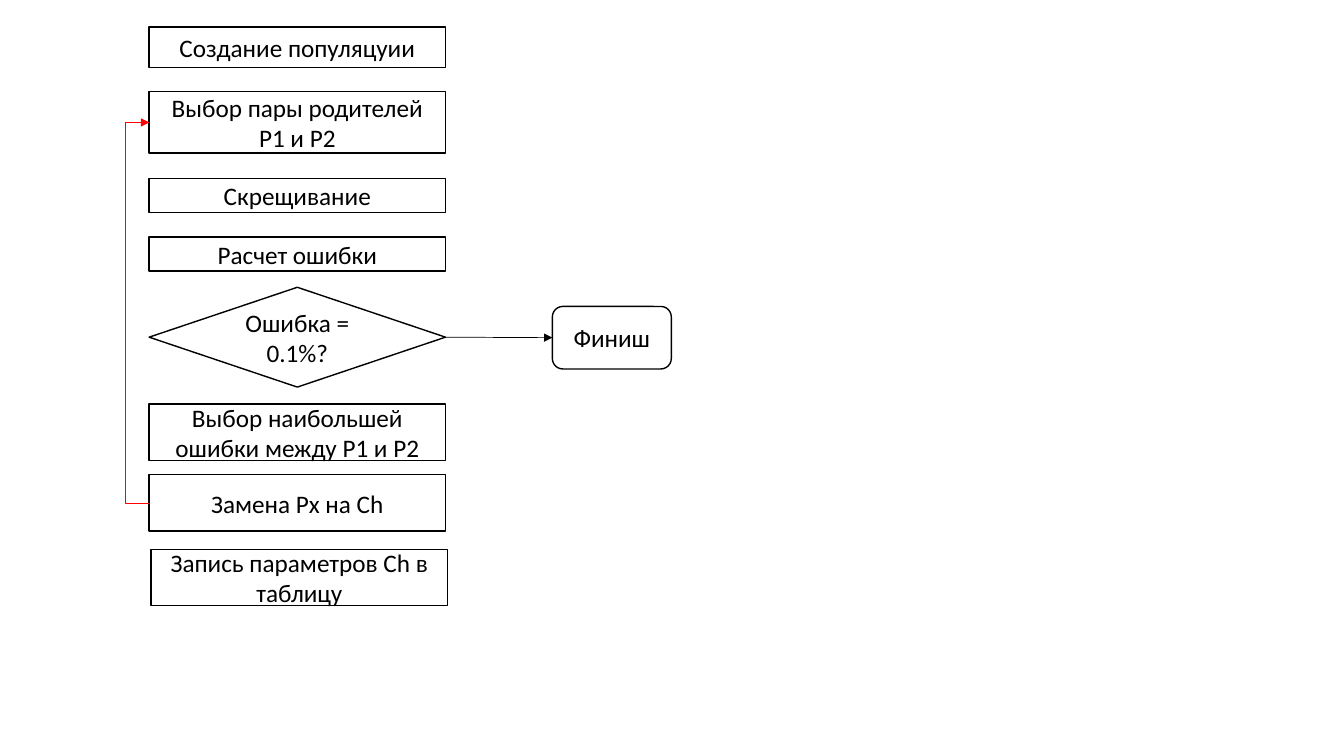
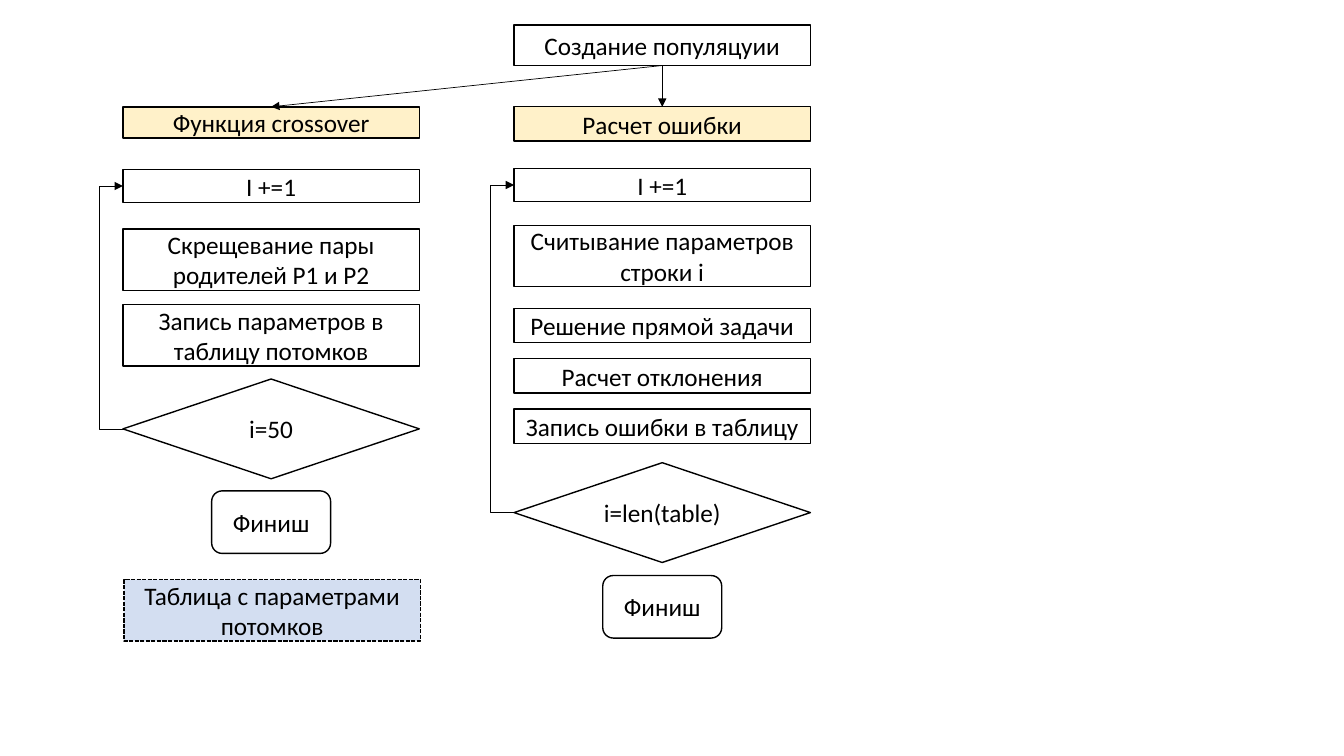
from pptx import Presentation
from pptx.dml.color import RGBColor
from pptx.enum.dml import MSO_LINE as DASH
from pptx.enum.shapes import MSO_CONNECTOR as CXN, MSO_SHAPE as SHAPE
from pptx.enum.text import MSO_ANCHOR, PP_ALIGN
from pptx.oxml.ns import qn
from pptx.util import Emu, Pt
from lxml.etree import SubElement

PX = 9144  # EMU per px, 100 px to the inch
COLORS = {"ink": "000000", "loop": "FF0000", "function": "FFC000", "table": "4472C4"}
FONT, SIZE = "Calibri", 18
BOX_W, DIAMOND_H = 294, 99
FINISH_W, FINISH_H = 118, 62
LOOP_OUT = 24  # how far a loop runs left of its column
TOP, LEFT, BOTTOM, RIGHT = range(4)

# kind: preset shape, fill colour, opacity in percent, dash
KINDS = {
    "step": (SHAPE.RECTANGLE, None, 0, None),
    "function": (SHAPE.RECTANGLE, "function", 21, None),
    "table": (SHAPE.RECTANGLE, "table", 23, DASH.SQUARE_DOT),
    "test": (SHAPE.DIAMOND, None, 0, None),
    "finish": (SHAPE.ROUNDED_RECTANGLE, None, 0, None),
}

# Each block: name, kind, text, left, top, height
MAIN_X, CROSS_X, ERROR_X = 148, 122, 510
MAIN = [
    ("create", "step", "Создание популяцуии", MAIN_X, 27, 40),
    ("parents", "step", "Выбор пары родителей Р1 и Р2", MAIN_X, 91, 61),
    ("crossing", "step", "Скрещивание", MAIN_X, 177, 34),
    ("error", "step", "Расчет ошибки", MAIN_X, 235, 34),
    ("test", "test", "Ошибка = 0.1%?", MAIN_X, 285, DIAMOND_H),
    ("worst", "step", "Выбор наибольшей ошибки между Р1 и Р2", MAIN_X, 401, 56),
    ("replace", "step", "Замена Рх на Ch", MAIN_X, 471, 56),
    ("record", "step", "Запись параметров Ch в таблицу", MAIN_X + 2, 545, 56),
    ("finish", "finish", "Финиш", 548, 304, FINISH_H),
]
START = [("create", "step", "Создание популяцуии", ERROR_X, 25, 40)]
CROSSOVER = [
    ("crossover", "function", "Функция crossover", CROSS_X, 106, 31),
    ("next_pair", "step", "I +=1", CROSS_X, 168, 33),
    ("crossing", "step", "Скрещевание пары родителей Р1 и Р2", CROSS_X, 227, 61),
    ("record_child", "step", "Запись параметров в таблицу потомков", CROSS_X, 302, 61),
    ("last_pair", "test", "i=50", CROSS_X, 376, DIAMOND_H),
    ("finish_cross", "finish", "Финиш", CROSS_X + (BOX_W - FINISH_W) // 2, 487, FINISH_H),
    ("children", "table", "Таблица с параметрами потомков", CROSS_X + 1, 575, 61),
]
ERROR = [
    ("error", "function", "Расчет ошибки", ERROR_X, 106, 34),
    ("next_row", "step", "I +=1", ERROR_X, 167, 33),
    ("read", "step", "Считывание параметров строки i", ERROR_X, 224, 60),
    ("solve", "step", "Решение прямой задачи", ERROR_X, 306, 34),
    ("deviation", "step", "Расчет отклонения", ERROR_X, 356, 34),
    ("record_error", "step", "Запись ошибки в таблицу", ERROR_X, 406, 34),
    ("last_row", "test", "i=len(table)", ERROR_X, 459, DIAMOND_H),
    ("finish_error", "finish", "Финиш", ERROR_X + (BOX_W - FINISH_W) // 2, 571, FINISH_H),
]

# Each slide: parts as (grouped, blocks, loop), then the straight arrows
# A loop: from block, to block, colour. An arrow: from block, side, to block, side
SLIDES = [
    ([(False, MAIN, ("replace", "parents", "loop"))],
     [("test", RIGHT, "finish", LEFT)]),
    ([(False, START, None),
      (True, CROSSOVER, ("last_pair", "next_pair", "ink")),
      (True, ERROR, ("last_row", "next_row", "ink"))],
     [("create", BOTTOM, "crossover", TOP), ("create", BOTTOM, "error", TOP)]),
]


def rgb(name):
    return RGBColor.from_string(COLORS[name])


def add_block(shapes, kind, text, left, top, height):
    preset, fill, opacity, dash = KINDS[kind]
    width = FINISH_W if kind == "finish" else BOX_W
    sp = shapes.add_shape(preset, *(Emu(v * PX) for v in (left, top, width, height)))
    sp.shadow.inherit = False
    if fill:
        sp.fill.solid()
        sp.fill.fore_color.rgb = rgb(fill)
        color = sp.fill._xPr.find(qn("a:solidFill"))[0]
        SubElement(color, qn("a:alpha"), val=str(opacity * 1000))
    else:
        sp.fill.background()
    sp.line.color.rgb = rgb("ink")
    sp.line.width = Pt(1)
    if dash:
        sp.line.dash_style = dash
    tf = sp.text_frame
    tf.word_wrap = True
    tf.vertical_anchor = MSO_ANCHOR.MIDDLE
    p = tf.paragraphs[0]
    p.alignment = PP_ALIGN.CENTER
    r = p.add_run()
    r.text = text
    r.font.name, r.font.size = FONT, Pt(SIZE)
    r.font.color.rgb = rgb("ink")
    return sp


def add_arrow(shapes, kind, start, start_side, end, end_side, color="ink"):
    cxn = shapes.add_connector(kind, start.left, start.top, end.left, end.top)
    cxn.begin_connect(start, start_side)
    cxn.end_connect(end, end_side)
    cxn.line.color.rgb = rgb(color)
    cxn.line.width = Pt(0.5)
    SubElement(cxn.line._get_or_add_ln(), qn("a:tailEnd"), type="triangle")
    SubElement(cxn._element.spPr, qn("a:effectLst"))
    return cxn


def add_loop(shapes, start, end, color):
    """Bracket on the left: a 1 px wide elbow, turned half round."""
    cxn = add_arrow(shapes, CXN.ELBOW, start, LEFT, end, LEFT, color)
    xfrm = cxn._element.spPr.find(qn("a:xfrm"))
    for flip in ("flipH", "flipV"):
        xfrm.attrib.pop(flip, None)
    xfrm.set("rot", "10800000")
    end_y = end.top + end.height // 2
    cxn.left, cxn.top, cxn.width = end.left, end_y, Emu(PX)
    cxn.height = start.top + start.height // 2 - end_y
    guides = cxn._element.spPr.find(qn("a:prstGeom")).find(qn("a:avLst"))
    SubElement(guides, qn("a:gd"), name="adj1", fmla=f"val {(LOOP_OUT + 1) * 100000}")


def main():
    prs = Presentation()
    prs.slide_width, prs.slide_height = Emu(12192000), Emu(6858000)
    for parts, arrows in SLIDES:
        slide = prs.slides.add_slide(prs.slide_layouts[6])
        blocks = {}
        for grouped, column, loop in parts:
            shapes = slide.shapes.add_group_shape().shapes if grouped else slide.shapes
            for name, *block in column:
                blocks[name] = add_block(shapes, *block)
            if loop:
                start, end, color = loop
                add_loop(shapes, blocks[start], blocks[end], color)
        for start, start_side, end, end_side in arrows:
            add_arrow(slide.shapes, CXN.STRAIGHT, blocks[start], start_side,
                      blocks[end], end_side)
    prs.save("out.pptx")


if __name__ == "__main__":
    main()
